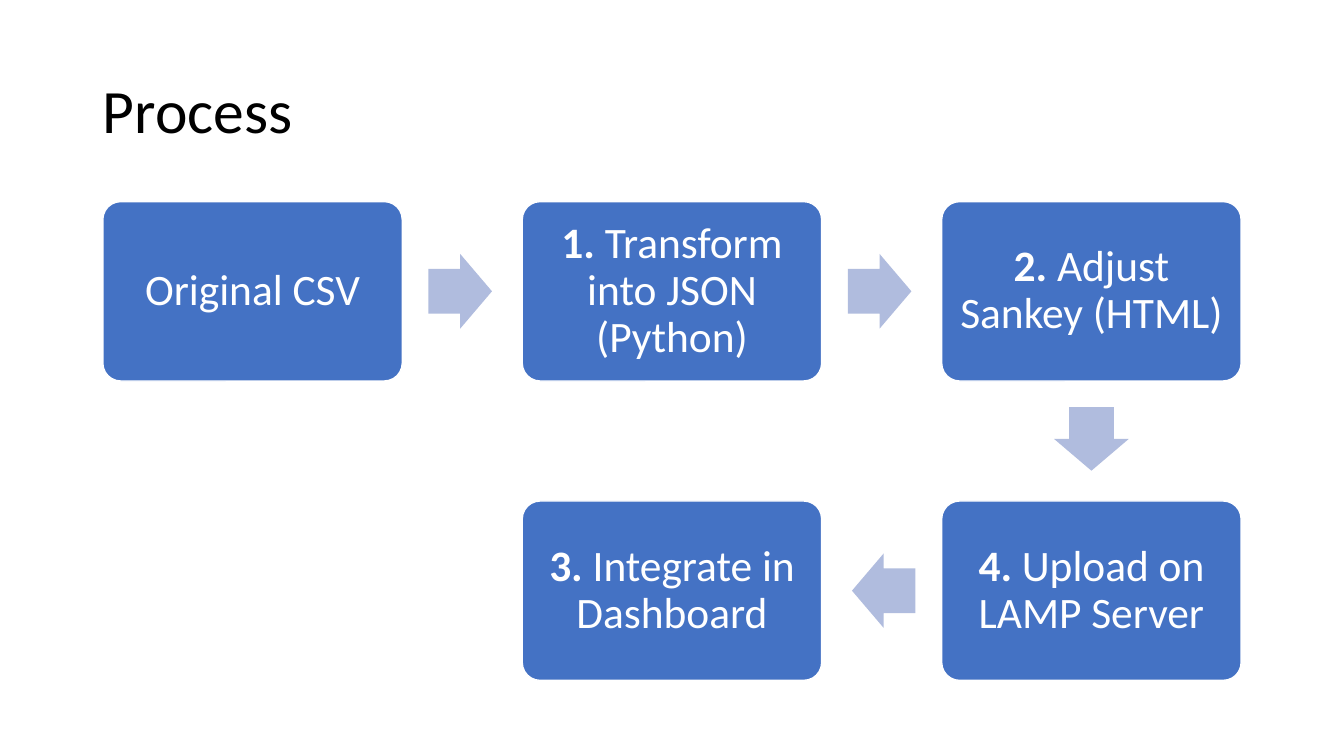
from dataclasses import dataclass
from math import cos, radians, sin

from pptx import Presentation
from pptx import util as u
from pptx.dml.color import RGBColor
from pptx.enum import shapes, text
from pptx.shapes.autoshape import Shape
from pptx.slide import Slide

BLUE = RGBColor(0x44, 0x72, 0xC4)
PALE = RGBColor(0xB0, 0xBC, 0xDE)
WHITE = RGBColor(0xFF, 0xFF, 0xFF)
BLACK = RGBColor(0, 0, 0)
FONT = "Calibri"

# Grid in inches: first cell, cell size, and pitch between cells
LEFT, TOP = 1.02, 2
WIDE, HIGH = 2.97, 1.78
COL, ROW = 4.16, 2.97
ARROW_W, ARROW_H = 0.63, 0.74
LAG = 0.02  # how far an arrow sits back towards its source
INSET = 0.12


@dataclass(frozen=True)
class Step:
    col: int
    row: int
    mark: str
    label: str

    @property
    def mid(self) -> tuple[float, float]:
        return LEFT + self.col * COL + WIDE / 2, TOP + self.row * ROW + HIGH / 2


@dataclass(frozen=True)
class Link:
    start: Step
    end: Step
    angle: int


STEPS = [
    Step(0, 0, "", "Original CSV"),
    Step(1, 0, "1. ", "Transform into JSON (Python)"),
    Step(2, 0, "2. ", "Adjust Sankey (HTML)"),
    Step(2, 1, "4. ", "Upload on LAMP Server"),
    Step(1, 1, "3. ", "Integrate in Dashboard"),
]
TURNS = [0, 0, 90, 180]
LINKS = [Link(a, b, turn) for a, b, turn in zip(STEPS, STEPS[1:], TURNS)]


def add_solid(slide: Slide, kind: shapes.MSO_SHAPE, mid: tuple[float, float],
              wide: float, high: float, fill: RGBColor) -> Shape:
    """Add a flat filled shape centred on mid."""
    x, y = mid
    shape = slide.shapes.add_shape(kind, u.Inches(x - wide / 2), u.Inches(y - high / 2),
                                   u.Inches(wide), u.Inches(high))
    shape.shadow.inherit = False
    shape.fill.solid()
    shape.fill.fore_color.rgb = fill
    shape.line.fill.background()
    return shape


def add_step(slide: Slide, step: Step) -> None:
    box = add_solid(slide, shapes.MSO_SHAPE.ROUNDED_RECTANGLE, step.mid, WIDE, HIGH, BLUE)
    box.adjustments[0] = 0.1
    box.line.color.rgb = WHITE
    box.line.width = u.Pt(1)
    frame = box.text_frame
    frame.word_wrap = True
    frame.vertical_anchor = text.MSO_ANCHOR.MIDDLE
    frame.margin_left = frame.margin_right = u.Inches(INSET)
    frame.margin_top = frame.margin_bottom = u.Inches(INSET)
    para = frame.paragraphs[0]
    para.alignment = text.PP_ALIGN.CENTER
    para.line_spacing = 0.9
    para.font.name, para.font.size = FONT, u.Pt(31)
    para.font.color.rgb = WHITE
    if step.mark:
        mark = para.add_run()
        mark.text = step.mark
        mark.font.bold = True
    para.add_run().text = step.label


def add_link(slide: Slide, link: Link) -> None:
    (ax, ay), (bx, by) = link.start.mid, link.end.mid
    turn = radians(link.angle)
    mid = (ax + bx) / 2 - LAG * cos(turn), (ay + by) / 2 - LAG * sin(turn)
    arrow = add_solid(slide, shapes.MSO_SHAPE.RIGHT_ARROW, mid, ARROW_W, ARROW_H, PALE)
    arrow.adjustments[0] = 0.6
    arrow.adjustments[1] = 0.5
    arrow.rotation = link.angle


def add_title(slide: Slide, words: str) -> None:
    title = slide.shapes.title
    title.left, title.top = u.Inches(0.92), u.Inches(0.4)
    title.width, title.height = u.Inches(11.5), u.Inches(1.45)
    frame = title.text_frame
    frame.text = words
    frame.auto_size = text.MSO_AUTO_SIZE.NONE
    frame.vertical_anchor = text.MSO_ANCHOR.MIDDLE
    para = frame.paragraphs[0]
    para.alignment = text.PP_ALIGN.LEFT
    para.line_spacing = 0.9
    para.font.name, para.font.size = FONT, u.Pt(44)
    para.font.color.rgb = BLACK


def main() -> None:
    deck = Presentation()
    deck.slide_width, deck.slide_height = u.Inches(13.33), u.Inches(7.5)
    slide = deck.slides.add_slide(deck.slide_layouts[5])
    add_title(slide, "Process")
    for step in STEPS:
        add_step(slide, step)
    for link in LINKS:
        add_link(slide, link)
    deck.save("out.pptx")


if __name__ == "__main__":
    main()
